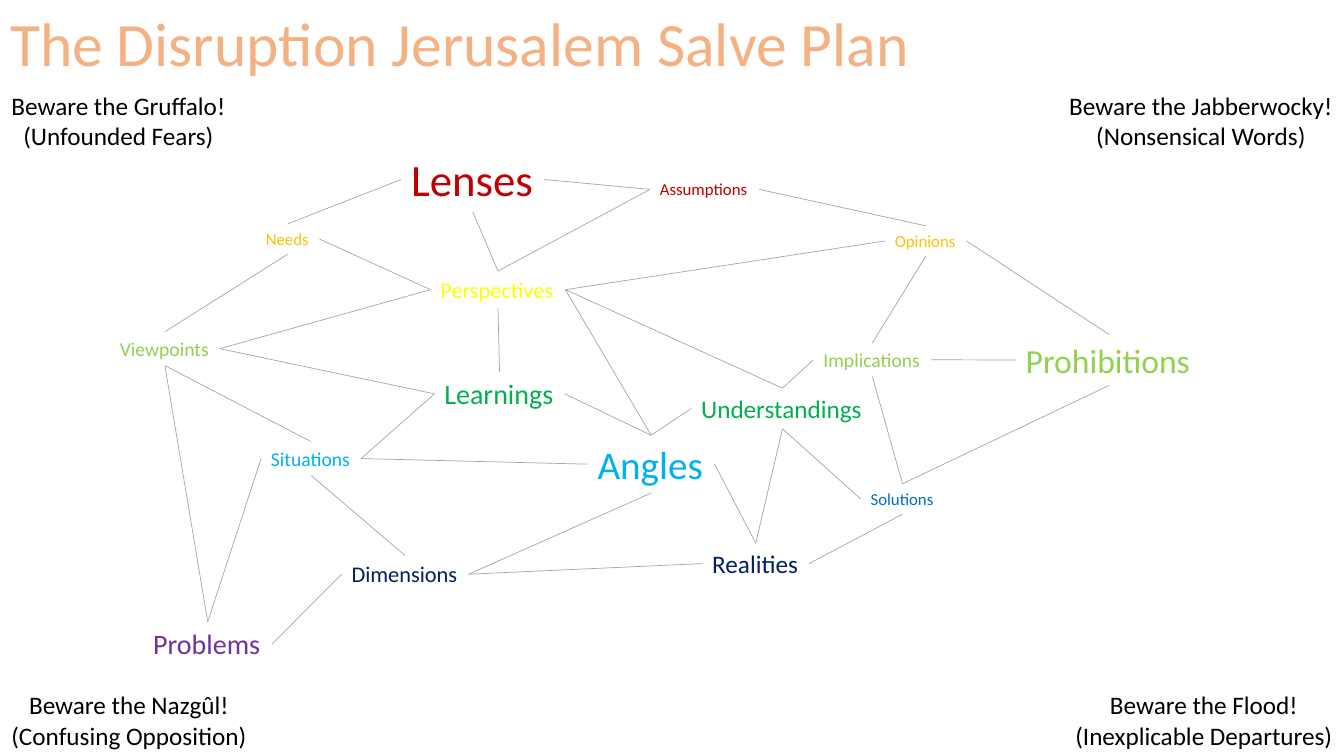
import pptx
import pptx.util
import pptx.dml.color
import pptx.enum.shapes
import pptx.enum.text
import pptx.oxml.ns
import lxml.etree

Cm = pptx.util.Cm
Pt = pptx.util.Pt
ALIGN = pptx.enum.text.PP_ALIGN

COLOURS = {
    "title": "F4B183", "warning": "000000", "link": "A6A6A6",
    "crimson": "C00000", "amber": "FFC000", "yellow": "FFFF00",
    "lime": "92D050", "green": "00B050", "sky": "00B0F0",
    "blue": "0070C0", "navy": "002060", "purple": "7030A0",
}
FONT = "Calibri"
SLIDE_WIDTH, SLIDE_HEIGHT = 33.87, 19.05
TOP, LEFT, BOTTOM, RIGHT = range(4)

CONCEPTS = [
    ("Lenses", 7.41, 0.01, 3.61, 32, "crimson"),
    ("Perspectives", 8.15, 3.13, 3.4, 16, "yellow"),
    ("Angles", 12.11, 7.27, 3.2, 28, "sky"),
    ("Realities", 15, 9.99, 2.69, 18, "navy"),
    ("Dimensions", 5.91, 10.3, 3.2, 16, "navy"),
    ("Opinions", 19.6, 1.99, 2.06, 12, "amber"),
    ("Viewpoints", 0.07, 4.66, 2.77, 14, "lime"),
    ("Understandings", 14.72, 6.08, 4.6, 18, "green"),
    ("Assumptions", 13.68, 0.69, 2.76, 12, "crimson"),
    ("Implications", 17.8, 4.94, 2.97, 14, "lime"),
    ("Situations", 3.88, 7.43, 2.52, 14, "sky"),
    ("Problems", 0.91, 11.97, 3.25, 20, "purple"),
    ("Needs", 3.75, 1.94, 1.6, 12, "amber"),
    ("Solutions", 18.99, 8.49, 2.11, 12, "blue"),
    ("Learnings", 8.25, 5.67, 3.28, 20, "green"),
    ("Prohibitions", 22.9, 4.73, 4.7, 24, "lime"),
]

LINKS = [
    ("Lenses", BOTTOM, "Perspectives", TOP),
    ("Lenses", LEFT, "Needs", TOP),
    ("Lenses", RIGHT, "Assumptions", LEFT),
    ("Viewpoints", TOP, "Needs", BOTTOM),
    ("Viewpoints", RIGHT, "Perspectives", LEFT),
    ("Learnings", TOP, "Perspectives", BOTTOM),
    ("Perspectives", TOP, "Assumptions", LEFT),
    ("Perspectives", RIGHT, "Opinions", LEFT),
    ("Opinions", TOP, "Assumptions", RIGHT),
    ("Implications", TOP, "Opinions", BOTTOM),
    ("Prohibitions", TOP, "Opinions", RIGHT),
    ("Prohibitions", LEFT, "Implications", RIGHT),
    ("Angles", TOP, "Learnings", RIGHT),
    ("Angles", TOP, "Understandings", LEFT),
    ("Understandings", BOTTOM, "Solutions", LEFT),
    ("Understandings", TOP, "Implications", LEFT),
    ("Implications", BOTTOM, "Solutions", TOP),
    ("Prohibitions", BOTTOM, "Solutions", TOP),
    ("Situations", TOP, "Viewpoints", BOTTOM),
    ("Situations", RIGHT, "Learnings", LEFT),
    ("Situations", RIGHT, "Angles", LEFT),
    ("Dimensions", RIGHT, "Angles", BOTTOM),
    ("Dimensions", TOP, "Situations", BOTTOM),
    ("Problems", RIGHT, "Dimensions", LEFT),
    ("Problems", TOP, "Situations", LEFT),
    ("Realities", LEFT, "Dimensions", RIGHT),
    ("Realities", TOP, "Angles", RIGHT),
    ("Realities", TOP, "Understandings", BOTTOM),
    ("Realities", RIGHT, "Solutions", BOTTOM),
    ("Perspectives", LEFT, "Needs", RIGHT),
    ("Viewpoints", BOTTOM, "Problems", TOP),
    ("Learnings", LEFT, "Viewpoints", RIGHT),
    ("Angles", TOP, "Perspectives", RIGHT),
    ("Understandings", TOP, "Perspectives", RIGHT),
]

WARNINGS = [
    ("Beware the Gruffalo!\n(Unfounded Fears)", 5.97, LEFT, TOP),
    ("Beware the Jabberwocky!\n(Nonsensical Words)", 7.21, RIGHT, TOP),
    ("Beware the Flood!\n(Inexplicable Departures)", 7.06, RIGHT, BOTTOM),
    ("Beware the Nazgûl!\n(Confusing Opposition)", 6.5, LEFT, BOTTOM),
]


def colour(name):
    return pptx.dml.color.RGBColor.from_string(COLOURS[name])


def text_height(size, lines=1):
    return 0.25 + 0.043 * size * lines


def write(shape, text, size, colour_name, alignment):
    paragraph = shape.text_frame.paragraphs[0]
    paragraph.text = text
    paragraph.alignment = alignment
    paragraph.font.name = FONT
    paragraph.font.size = Pt(size)
    paragraph.font.color.rgb = colour(colour_name)


def add_label(slide, box, text, size, colour_name, alignment=ALIGN.LEFT):
    shape = slide.shapes.add_textbox(*map(Cm, box))
    shape.text_frame.word_wrap = False
    shape.text_frame.auto_size = pptx.enum.text.MSO_AUTO_SIZE.SHAPE_TO_FIT_TEXT
    write(shape, text, size, colour_name, alignment)
    return shape


def add_title(slide, box):
    title = slide.shapes.title
    title.left, title.top, title.width, title.height = map(Cm, box)
    title.text_frame.vertical_anchor = pptx.enum.text.MSO_ANCHOR.TOP
    title.text_frame.auto_size = pptx.enum.text.MSO_AUTO_SIZE.NONE
    write(title, "The Disruption Jerusalem Salve Plan", 44, "title", ALIGN.LEFT)


def add_link(slide, start, start_side, end, end_side):
    connector = slide.shapes.add_connector(
        pptx.enum.shapes.MSO_CONNECTOR.STRAIGHT, 0, 0, 0, 0)
    connector.begin_connect(start, start_side)
    connector.end_connect(end, end_side)
    connector.line.color.rgb = colour("link")
    connector.line.width = Pt(0.5)
    properties = connector._element.spPr
    lxml.etree.SubElement(properties, pptx.oxml.ns.qn("a:effectLst"))


def add_concept_map(slide, box):
    left, top = box[:2]
    labels = {}
    for name, x, y, width, size, colour_name in CONCEPTS:
        label_box = (left + x, top + y, width, text_height(size))
        labels[name] = add_label(slide, label_box, name, size, colour_name)
    for start, start_side, end, end_side in LINKS:
        add_link(slide, labels[start], start_side, labels[end], end_side)


def add_corner_warnings(slide, box):
    left, top, box_width, box_height = box
    height = text_height(18, 2)
    for text, width, side, edge in WARNINGS:
        x = left if side == LEFT else left + box_width - width
        y = top if edge == TOP else top + box_height - height
        add_label(slide, (x, y, width, height), text, 18, "warning", ALIGN.CENTER)


presentation = pptx.Presentation()
presentation.slide_width = Cm(SLIDE_WIDTH)
presentation.slide_height = Cm(SLIDE_HEIGHT)
slide = presentation.slides.add_slide(presentation.slide_layouts[5])
title_height = text_height(44)
add_title(slide, (0, 0, SLIDE_WIDTH, title_height))
add_concept_map(slide, (2.7, 3.7, 27.6, 13.1))
add_corner_warnings(slide, (0, title_height, SLIDE_WIDTH, SLIDE_HEIGHT - title_height))
presentation.save("out.pptx")
